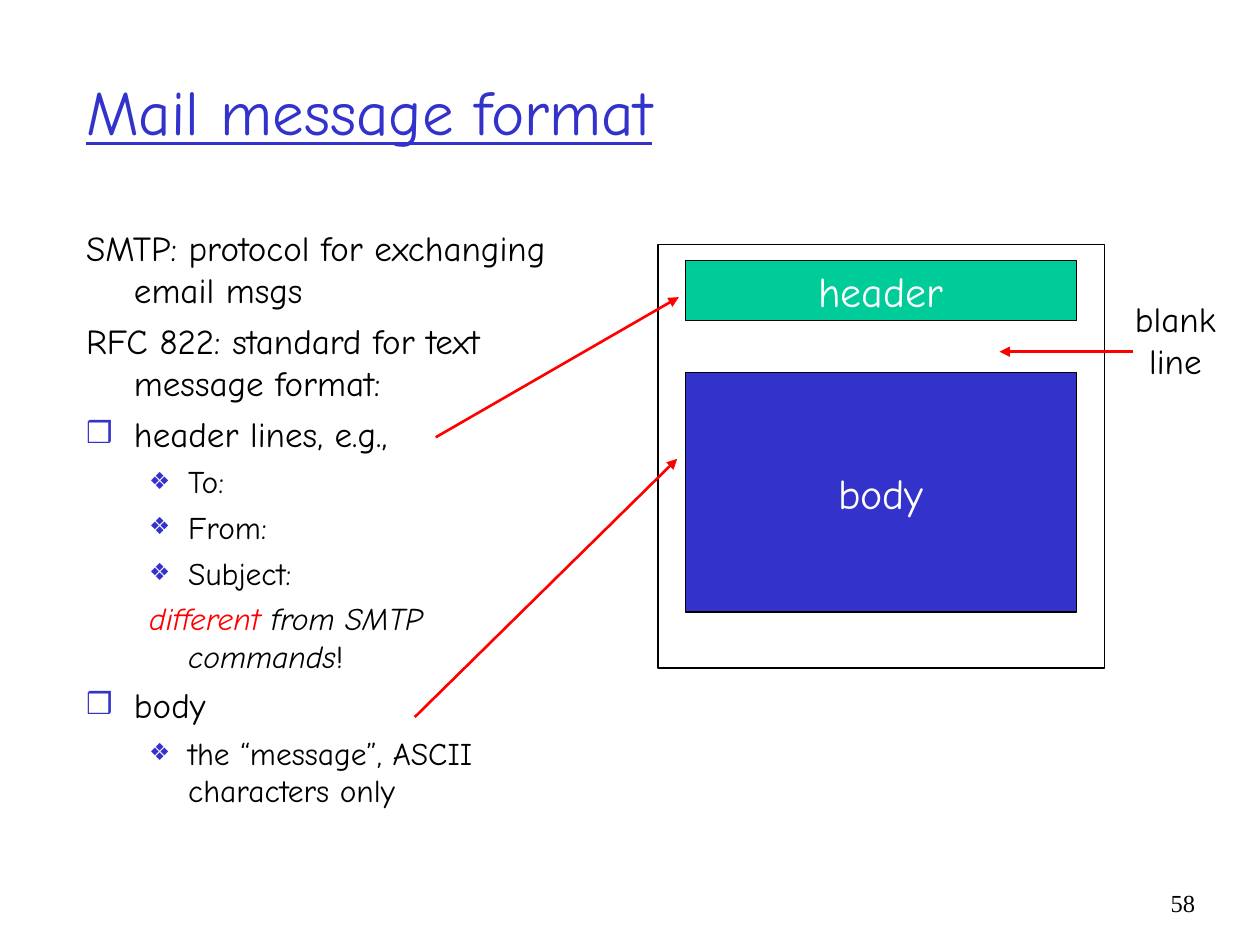
from dataclasses import dataclass
from lxml.etree import SubElement as Sub
from pptx import Presentation
from pptx.dml.color import RGBColor as Rgb
from pptx.enum.shapes import MSO_CONNECTOR as Link, MSO_SHAPE as Form
from pptx.enum.text import MSO_ANCHOR as Anchor, MSO_AUTO_SIZE as Fit, PP_ALIGN as Align
from pptx.oxml.ns import qn
from pptx.util import Inches, Pt


@dataclass(frozen=True)
class Theme:
    font: str = "Comic Neue"
    serif: str = "Times New Roman"
    ink: str = "000000"
    blue: str = "3333CC"
    green: str = "00CC99"
    red: str = "FF0000"
    white: str = "FFFFFF"
    title: int = 36
    label: int = 24
    text: int = 20
    sub: int = 18
    page: int = 14


T = Theme()
WIDE, HIGH = 10, 7.5
COLS, ROWS = 120, 90

# Content: each note is (style, runs); a run is (text, format)
TITLE = "Mail message format"
NOTES = [
    ("plain", [("SMTP: protocol for exchanging email msgs", {})]),
    ("plain", [("RFC 822: standard for text message format:", {})]),
    ("main", [("header lines, e.g.,", {})]),
    ("sub", [("To:", {})]),
    ("sub", [("From:", {})]),
    ("sub", [("Subject:", {})]),
    ("aside", [("different ", dict(color=T.red, italic=True)),
               ("from SMTP commands", dict(italic=True)), ("!", {})]),
    ("main", [("body", {})]),
    ("sub", [("the “message”, ASCII characters only", {})]),
]
# Style: level, size, space before, left, hang, bullet, bullet percent
TOP, LOW = (0, T.text, 5, 0.38, 0.38), (1, T.sub, 4.5, 0.81, 0.31)
STYLES = {
    "plain": (*TOP, None, 0),
    "main": (*TOP, "❒", 85),
    "sub": (*LOW, "❖", 75),
    "aside": (*LOW, None, 0),
}
# Places in grid columns and rows
PARTS = [
    ("header", T.green, 0.75, (65.3, 24.8, 37.2, 5.7)),
    ("body", T.blue, 0.75, (65.3, 35.5, 37.2, 22.8)),
    (None, None, 1, (62.7, 23.3, 42.5, 40.3)),
]
ARROWS = [
    (41.5, 41.65, 64.65, 28.3),
    (39.5, 68.3, 64.5, 43.7),
    (107.9, 33.5, 95.2, 33.5),
]


def grid(a, b, c, d):
    col, row = WIDE / COLS, HIGH / ROWS
    return [Inches(n * u) for n, u in zip((a, b, c, d), (col, row, col, row))]


def put(para, text, size=T.text, color=T.ink, font=T.font, italic=False,
        under=False, align=None):
    run = para.add_run()
    run.text = text
    face = run.font
    face.name, face.size = font, Pt(size)
    face.italic, face.underline = italic, under
    face.color.rgb = Rgb.from_string(color)
    if align is not None:
        para.alignment = align


def bullet(para, left, hang, mark, share):
    props = para._p.get_or_add_pPr()
    props.set("marL", str(Inches(left)))
    props.set("indent", str(-Inches(hang)))
    if not mark:
        Sub(props, qn("a:buNone"))
        return
    Sub(Sub(props, qn("a:buClr")), qn("a:srgbClr"), val=T.blue)
    Sub(props, qn("a:buSzPct"), val=str(share * 1000))
    Sub(props, qn("a:buChar"), char=mark)


def place(shape, *spot):
    shape.left, shape.top, shape.width, shape.height = grid(*spot)
    shape.text_frame.auto_size = Fit.NONE
    return shape.text_frame


def draw_notes(frame):
    for i, (style, runs) in enumerate(NOTES):
        level, size, gap, left, hang, mark, share = STYLES[style]
        para = frame.paragraphs[0] if i == 0 else frame.add_paragraph()
        para.level = level
        bullet(para, left, hang, mark, share)
        para.space_before = Pt(gap if i else 0)
        for text, form in runs:
            put(para, text, size=size, **form)


def draw_part(shapes, name, fill, width, spot):
    box = shapes.add_shape(Form.RECTANGLE, *grid(*spot))
    box.shadow.inherit = False
    box.line.color.rgb, box.line.width = Rgb.from_string(T.ink), Pt(width)
    if fill:
        box.fill.solid()
        box.fill.fore_color.rgb = Rgb.from_string(fill)
    else:
        box.fill.background()
    if name:
        frame = box.text_frame
        frame.word_wrap, frame.vertical_anchor = False, Anchor.MIDDLE
        put(frame.paragraphs[0], name, size=T.label, color=T.white, align=Align.CENTER)


def draw_arrow(shapes, ends):
    arrow = shapes.add_connector(Link.STRAIGHT, *grid(*ends))
    arrow.line.color.rgb, arrow.line.width = Rgb.from_string(T.red), Pt(1.5)
    Sub(arrow.line._get_or_add_ln(), qn("a:tailEnd"), type="triangle")
    Sub(arrow._element.spPr, qn("a:effectLst"))


def main():
    deck = Presentation()
    deck.slide_width, deck.slide_height = Inches(WIDE), Inches(HIGH)
    slide = deck.slides.add_slide(deck.slide_layouts[1])
    shapes = slide.shapes

    # Title and notes
    head = place(shapes.title, 7, 3, 102, 15)
    head.vertical_anchor = Anchor.MIDDLE
    put(head.paragraphs[0], TITLE, size=T.title, color=T.blue, under=True, align=Align.LEFT)
    draw_notes(place(slide.placeholders[1], 7, 21, 50, 61))

    # Message diagram
    for part in PARTS:
        draw_part(shapes, *part)
    for ends in ARROWS:
        draw_arrow(shapes, ends)

    # Blank line label
    label = shapes.add_textbox(*grid(106.9, 27.7, 10.1, 9.2)).text_frame
    label.word_wrap = False
    put(label.paragraphs[0], "blank", align=Align.CENTER)
    put(label.add_paragraph(), "line", align=Align.CENTER)

    # Page number
    page = shapes.add_textbox(*grid(109, 84, 6, 6)).text_frame
    page.word_wrap = True
    put(page.paragraphs[0], "58", size=T.page, font=T.serif, align=Align.RIGHT)

    deck.save("out.pptx")


if __name__ == "__main__":
    main()
